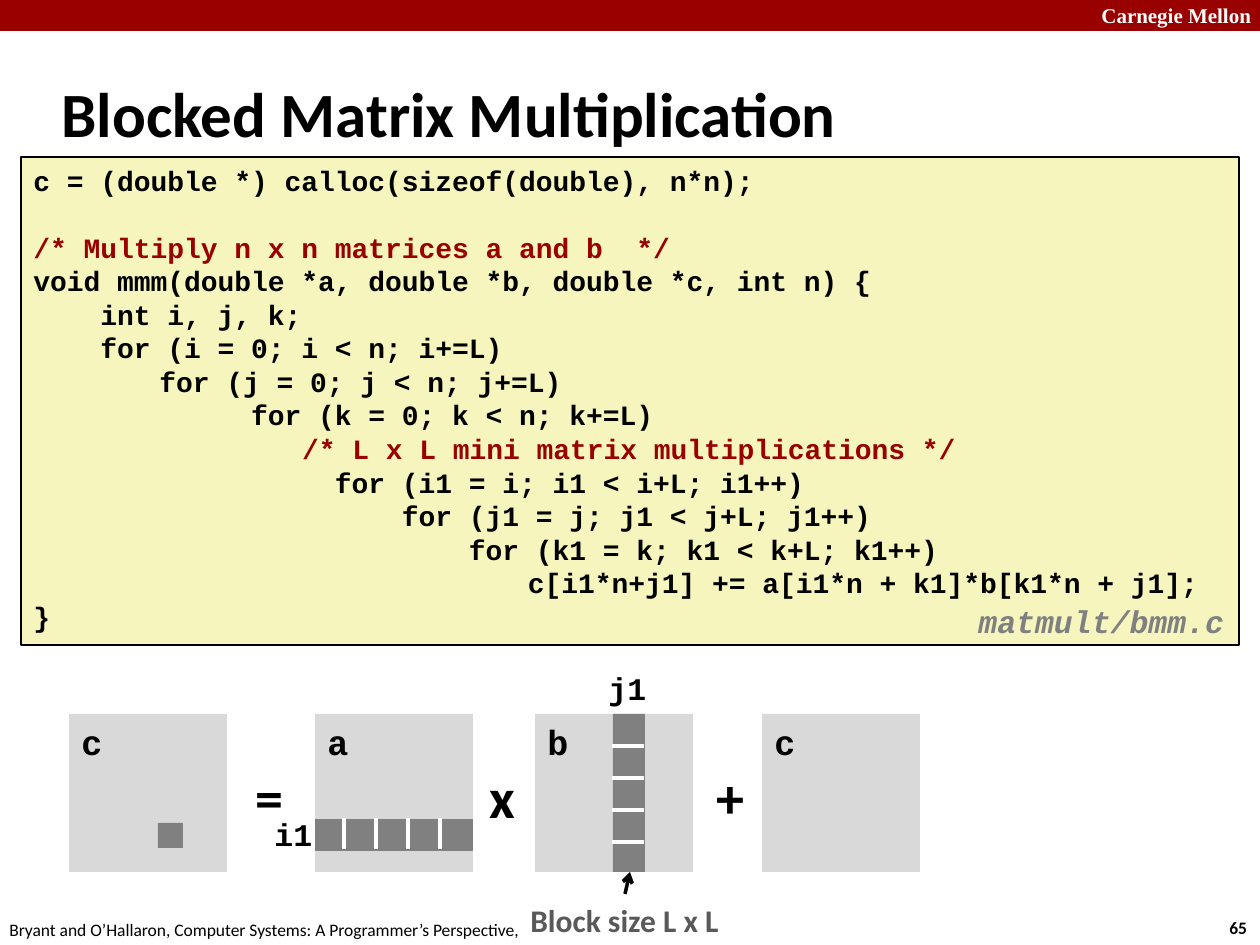
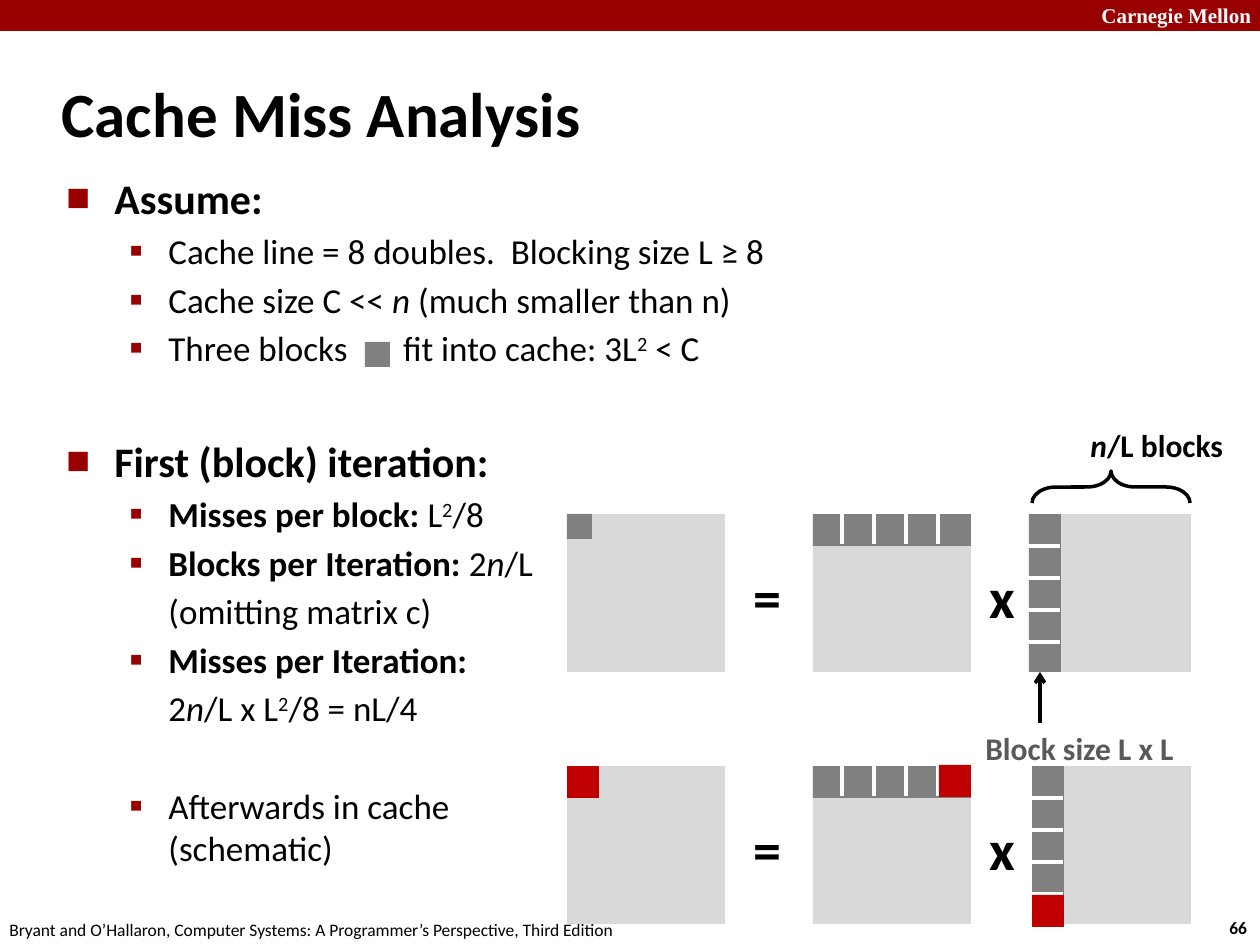
from lxml import etree
from pptx import Presentation
from pptx.dml.color import RGBColor
from pptx.enum.shapes import MSO_CONNECTOR, MSO_SHAPE
from pptx.enum.text import MSO_ANCHOR, MSO_AUTO_SIZE, PP_ALIGN
from pptx.oxml.ns import qn
from pptx.util import Emu, Pt

RECT, BRACE = MSO_SHAPE.RECTANGLE, MSO_SHAPE.LEFT_BRACE
STRAIGHT = MSO_CONNECTOR.STRAIGHT
TOP, MIDDLE, LEFT = MSO_ANCHOR.TOP, MSO_ANCHOR.MIDDLE, PP_ALIGN.LEFT
NO_AUTOFIT = MSO_AUTO_SIZE.NONE

PX_PER_INCH = 126
SANS, MONO, SERIF = "Calibri", "Courier New", "Times New Roman"
COLORS = {
    "black": "000000", "white": "FFFFFF", "crimson": "990000",
    "code": "F6F5BD", "matrix": "D9D9D9", "block": "808080",
    "cached": "C00000", "caption": "595959",
}

MATRIX = 158       # side of a matrix
STRIP = 32         # thickness of a row or column of blocks
SMALL_BLOCK = 25
BLOCKS = 5

CODE = """c = (double *) calloc(sizeof(double), n*n);

/* Multiply n x n matrices a and b  */
void mmm(double *a, double *b, double *c, int n) {
    int i, j, k;
    for (i = 0; i < n; i+=L)
\tfor (j = 0; j < n; j+=L)
             for (k = 0; k < n; k+=L)
\t\t /* L x L mini matrix multiplications */
                  for (i1 = i; i1 < i+L; i1++)
                      for (j1 = j; j1 < j+L; j1++)
                          for (k1 = k; k1 < k+L; k1++)
\t                      c[i1*n+j1] += a[i1*n + k1]*b[k1*n + j1];
}"""

# Each point: level ("head", "item", "more"), space before in points, runs.
# Run styles: b bold, i italic, ^ superscript, _ room for the inline block.
ANALYSIS = [
    ("head", 0, [("Assume:", "b")]),
    ("item", 4, [("Cache line = 8 doubles.  Blocking size L ≥ 8", "")]),
    ("item", 3.7, [("Cache size C << ", ""), ("n", "i"),
                   (" (much smaller than n)", "")]),
    ("item", 3.7, [("Three blocks", ""), (" ", "_"),
                   ("fit into cache: 3L", ""), ("2", "^"), (" < C", "")]),
    ("head", 38, [("First (block) iteration:", "b")]),
    ("item", 4, [("Misses per block: ", "b"), ("L", ""), ("2", "^"),
                 ("/8", "")]),
    ("item", 3.7, [("Blocks per Iteration: ", "b"), ("2", ""), ("n", "i"),
                   ("/L", "")]),
    ("more", 3.7, [("(omitting matrix c)", "")]),
    ("item", 3.7, [("Misses per Iteration:", "b")]),
    ("more", 3.7, [("2", ""), ("n", "i"), ("/L x L", ""), ("2", "^"),
                   ("/8 = nL/4", "")]),
    ("item", 31.7, [("Afterwards in cache\n(schematic)", "")]),
]
# Level: font size, left margin px, first-line indent px, bullet, bullet size %
LEVELS = {
    "head": (24, 48, -48, "■", 60),
    "item": (20, 102, -39, "▪", 110),
    "more": (20, 102, 0, None, None),
}


def px(length):
    return Emu(round(length * 914400 / PX_PER_INCH))


def rgb(name):
    return RGBColor.from_string(COLORS[name])


def add_run(paragraph, text, size, font=SANS, color="black", bold=True,
            italic=False):
    run = paragraph.add_run()
    run.text = text
    run.font.name, run.font.size = font, Pt(size)
    run.font.bold, run.font.italic = bold, italic
    run.font.color.rgb = rgb(color)
    return run


def add_box(slide, box, fill, line=None):
    shape = slide.shapes.add_shape(RECT, *map(px, box))
    shape.shadow.inherit = False
    shape.fill.solid()
    shape.fill.fore_color.rgb = rgb(fill)
    if line:
        shape.line.color.rgb = rgb(line)
        shape.line.width = Pt(1)
    else:
        shape.line.fill.background()
    frame = shape.text_frame
    frame.vertical_anchor = TOP
    frame.paragraphs[0].alignment = LEFT
    return shape


def add_label(slide, box, text, size, wrap=False, **style):
    frame = slide.shapes.add_textbox(*map(px, box)).text_frame
    frame.word_wrap = wrap
    add_run(frame.paragraphs[0], text, size, **style)
    return frame


def add_line(slide, start, end, color, arrow=False):
    line = slide.shapes.add_connector(STRAIGHT, *map(px, start + end))
    line.line.color.rgb = rgb(color)
    line.line.width = Pt(2)
    if arrow:
        outline = line.line._get_or_add_ln()
        etree.SubElement(outline, qn("a:tailEnd"), type="arrow")
    etree.SubElement(line._element.spPr, qn("a:effectLst"))


# Matrix diagrams
def add_matrix(slide, left, top, name=None):
    matrix = add_box(slide, (left, top, MATRIX, MATRIX), "matrix")
    if name:
        add_run(matrix.text_frame.paragraphs[0], name, 20, font=MONO)


def add_operator(slide, left, top, sign):
    add_label(slide, (left, top + 42, 54, 81), sign, 32)


def add_block_row(slide, left, top):
    add_box(slide, (left, top, MATRIX, STRIP), "block")
    for i in range(BLOCKS - 1):
        x = left + 29 + STRIP * i
        add_line(slide, (x, top - 1), (x, top + 30), "white")


def add_block_column(slide, left, top):
    add_box(slide, (left, top, STRIP, MATRIX), "block")
    for i in range(1, BLOCKS):
        y = top + STRIP * i
        add_line(slide, (left - 1, y), (left + 31, y), "white")


def add_block(slide, left, top, side=SMALL_BLOCK, color="block"):
    add_box(slide, (left, top, side, side), color)


def add_product(slide, left, top, column_offset):
    """Result = row of blocks x column of blocks."""
    row_left, column_left = left + 246, left + 466
    for matrix_left in (left, row_left, column_left):
        add_matrix(slide, matrix_left, top)
    add_operator(slide, left + 174, top, "=")
    add_operator(slide, left + 410, top, "x")
    add_block_row(slide, row_left, top)
    add_block_column(slide, column_left + column_offset, top)


# Parts on every slide
def start_slide(prs, title, number):
    slide = prs.slides.add_slide(prs.slide_layouts[5])
    add_box(slide, (0, 0, 1260, 31), "crimson")
    add_label(slide, (1089, -4, 180, 38), "Carnegie Mellon", 12, wrap=True,
              font=SERIF, color="white")
    add_label(slide, (1217, 911, 47, 34), number, 10)
    add_label(slide, (-3, 913, 640, 34),
              "Bryant and O’Hallaron, Computer Systems: "
              "A Programmer’s Perspective, Third Edition", 10, bold=False)

    heading = slide.shapes.title
    heading.left, heading.top = px(49), px(60)
    heading.width, heading.height = px(1046), px(105)
    frame = heading.text_frame
    frame.auto_size, frame.vertical_anchor = NO_AUTOFIT, MIDDLE
    frame.paragraphs[0].alignment = LEFT
    add_run(frame.paragraphs[0], title, 36)
    return slide


def add_code(slide, box):
    frame = add_box(slide, box, "code", "black").text_frame
    frame.word_wrap = True
    paragraph, gap = frame.paragraphs[0], 0
    for line in CODE.split("\n"):
        if not line:
            gap = 19
            continue
        if paragraph.runs:
            paragraph = frame.add_paragraph()
            paragraph.alignment = LEFT
        if gap:
            paragraph.space_before, gap = Pt(gap), 0
        if "\t" in line:
            tabs = etree.SubElement(paragraph._p.get_or_add_pPr(),
                                    qn("a:tabLst"))
            for stop in (1, 2):
                etree.SubElement(tabs, qn("a:tab"), algn="l",
                                 pos=str(px(stop * PX_PER_INCH)))
        color = "crimson" if line.strip().startswith("/*") else "black"
        add_run(paragraph, line, 16, font=MONO, color=color)


def add_bullet(properties, char, percent):
    color = etree.SubElement(properties, qn("a:buClr"))
    etree.SubElement(color, qn("a:srgbClr"), val=COLORS["crimson"])
    etree.SubElement(properties, qn("a:buSzPct"), val=str(percent * 1000))
    etree.SubElement(properties, qn("a:buFont"), typeface=SANS)
    etree.SubElement(properties, qn("a:buChar"), char=char)


def add_points(slide, box, points):
    frame = slide.shapes.add_textbox(*map(px, box)).text_frame
    frame.word_wrap = True
    for i, (level, gap, runs) in enumerate(points):
        paragraph = frame.add_paragraph() if i else frame.paragraphs[0]
        size, margin, indent, char, percent = LEVELS[level]
        if gap:
            paragraph.space_before = Pt(gap)
        properties = paragraph._p.get_or_add_pPr()
        properties.set("marL", str(px(margin)))
        properties.set("indent", str(px(indent)))
        if char:
            add_bullet(properties, char, percent)
        for text, style in runs:
            for n, part in enumerate(text.split("\n")):
                if n:
                    paragraph.add_line_break()
                run = add_run(paragraph, part, size, bold="b" in style,
                              italic="i" in style)
                if style == "^":
                    run._r.get_or_add_rPr().set("baseline", "30000")
                elif style == "_":
                    run._r.get_or_add_rPr().set("spc", "2710")


def add_multiplication_slide(prs):
    slide = start_slide(prs, "Blocked Matrix Multiplication", "65")
    add_code(slide, (21, 157, 1218, 488))

    # c = a x b + c
    top = 714
    for left, name in ((69, "c"), (315, "a"), (535, "b"), (762, "c")):
        add_matrix(slide, left, top, name)
    for left, sign in ((243, "="), (477, "x"), (704, "+")):
        add_operator(slide, left, top, sign)
    add_label(slide, (262, 809, 63, 50), "i1", 18, font=MONO)
    add_label(slide, (596, 663, 63, 50), "j1", 18, font=MONO)
    add_block(slide, 158, 823)
    add_block_row(slide, 315, 819)
    add_block_column(slide, 613, top)

    # Block size and file name
    caption = add_box(slide, (518, 895, 215, 50), "white").text_frame
    caption.word_wrap = False
    add_run(caption.paragraphs[0], "Block size L x L", 18, color="caption")
    add_line(slide, (625, 894), (630, 872), "black", arrow=True)
    file_name = add_label(slide, (966, 599, 281, 49), "matmult/bmm.c", 18,
                          font=MONO, color="block", italic=True)
    file_name.paragraphs[0].line_spacing = 0.94


def add_analysis_slide(prs):
    slide = start_slide(prs, "Cache Miss Analysis", "66")
    add_points(slide, (54, 166, 1089, 421), ANALYSIS)
    add_block(slide, 365, 342)

    # First iteration, and the cache afterwards
    left, first, after = 567, 514, 766
    add_product(slide, left, after, -1)
    for x, y in ((left, after), (939, after - 1), (1032, 895)):
        add_block(slide, x, y, STRIP, "cached")
    add_product(slide, left, first, -4)
    add_block(slide, left, first)

    # Block size and number of blocks
    add_label(slide, (973, 723, 215, 50), "Block size L x L", 18,
              color="caption")
    add_line(slide, (1040, 723), (1040, 672), "black", arrow=True)
    brace = slide.shapes.add_shape(BRACE, *map(px, (1095, 408, 32, MATRIX)))
    brace.rotation = 90
    brace.adjustments[0] = 0.75
    brace.shadow.inherit = False
    brace.fill.background()
    brace.line.color.rgb = rgb("black")
    brace.line.width = Pt(2)
    count = add_label(slide, (1078, 420, 159, 50), "n", 18, italic=True)
    add_run(count.paragraphs[0], "/L blocks", 18)


def main():
    prs = Presentation()
    prs.slide_width, prs.slide_height = px(1260), px(945)
    add_multiplication_slide(prs)
    add_analysis_slide(prs)
    prs.save("out.pptx")


if __name__ == "__main__":
    main()
